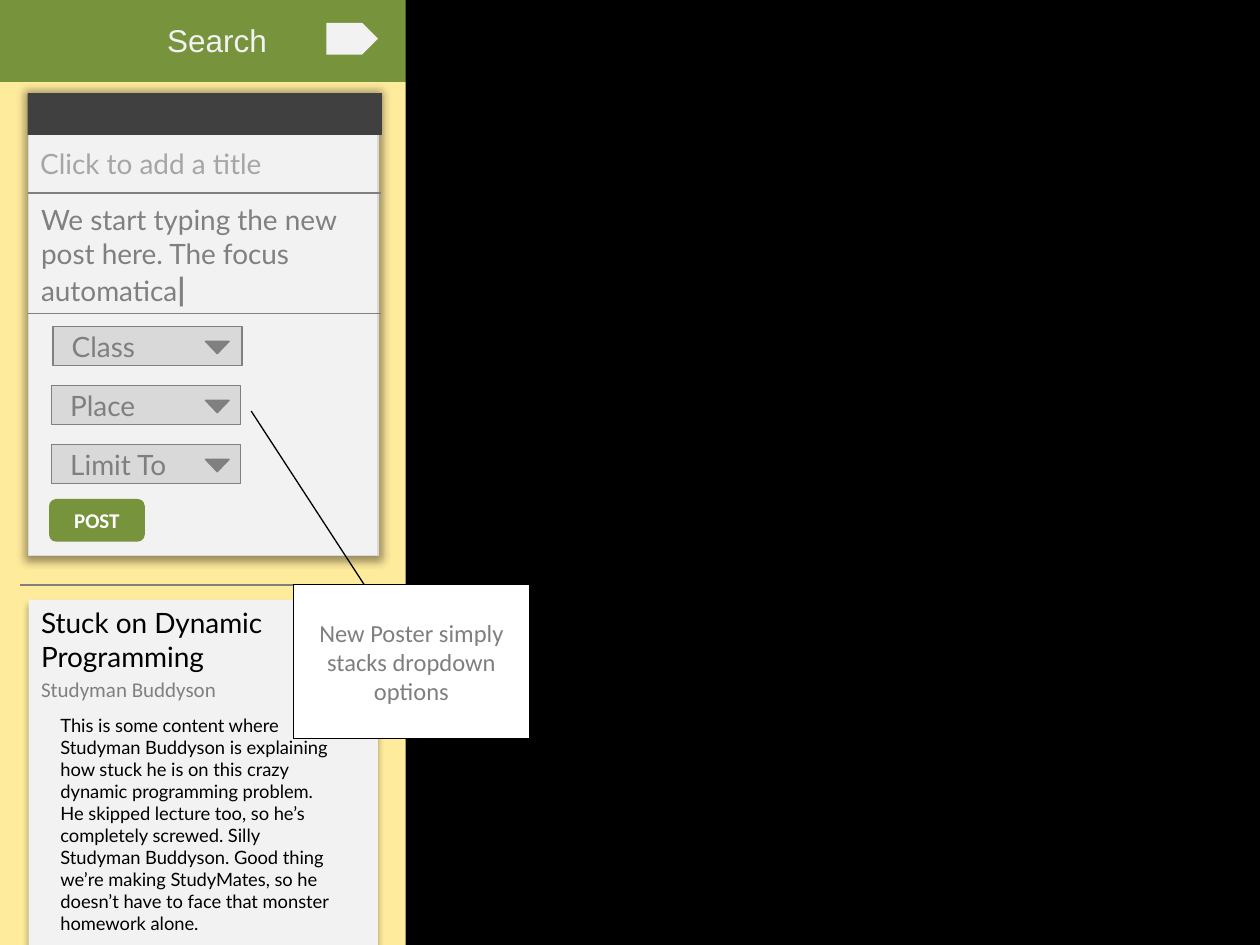
from lxml import etree
from pptx import Presentation
from pptx.dml.color import RGBColor
from pptx.enum import shapes, text
from pptx.oxml import ns
from pptx.util import Cm, Pt

GREEN = RGBColor(0x77, 0x93, 0x3C)
CREAM = RGBColor(0xFF, 0xEB, 0x9C)
PAPER = RGBColor(0xF2, 0xF2, 0xF2)
SILVER = RGBColor(0xD9, 0xD9, 0xD9)
PALE_GRAY = RGBColor(0xA6, 0xA6, 0xA6)
GRAY = RGBColor(0x80, 0x80, 0x80)
LABEL_GRAY = RGBColor(0x7F, 0x7F, 0x7F)
CHARCOAL = RGBColor(0x40, 0x40, 0x40)
BLACK = RGBColor(0, 0, 0)
WHITE = RGBColor(0xFF, 0xFF, 0xFF)

SHAPE = shapes.MSO_SHAPE
COLUMN_LEFT, COLUMN_WIDTH = 0.58, 7.04
DROPDOWN_TOP, DROPDOWN_STEP = 6.58, 1.19

POST_BODY = (
    "This is some content where Studyman Buddyson is explaining how stuck he is "
    "on this crazy dynamic programming problem. He skipped lecture too, so he’s "
    "completely screwed. Silly Studyman Buddyson. Good thing we’re making "
    "StudyMates, so he doesn’t have to face that monster homework alone."
)


def add_run(paragraph, words, font, size, color, bold=False):
    run = paragraph.add_run()
    run.text = words
    run.font.name = font
    run.font.size = Pt(size)
    run.font.color.rgb = color
    run.font.bold = bold


def add_text(slide, box, runs, wrap=True):
    frame = slide.shapes.add_textbox(*map(Cm, box)).text_frame
    frame.word_wrap = wrap
    for run in runs:
        add_run(frame.paragraphs[0], *run)


def add_block(slide, kind, box, fill, line=None, runs=(), align=text.PP_ALIGN.CENTER):
    block = slide.shapes.add_shape(kind, *map(Cm, box))
    block.shadow.inherit = False
    block.fill.solid()
    block.fill.fore_color.rgb = fill
    if line is None:
        block.line.fill.background()
    else:
        block.line.color.rgb = line
        block.line.width = Pt(0.75)
    if runs:
        frame = block.text_frame
        frame.word_wrap = True
        frame.vertical_anchor = text.MSO_ANCHOR.MIDDLE
        frame.paragraphs[0].alignment = align
        for run in runs:
            add_run(frame.paragraphs[0], *run)
    return block


def cast_shadow(block, blur, distance, opacity, spread=100):
    """Give a block a soft black shadow; opacity and spread are in percent."""
    effects = block._element.spPr.find(ns.qn("a:effectLst"))
    shadow = etree.SubElement(
        effects, ns.qn("a:outerShdw"), blurRad=str(Pt(blur)), dist=str(Pt(distance)),
        dir="5400000", sx=str(spread * 1000), sy=str(spread * 1000),
        algn="ctr", rotWithShape="0")
    color = etree.SubElement(shadow, ns.qn("a:srgbClr"), val=str(BLACK))
    etree.SubElement(color, ns.qn("a:alpha"), val=str(opacity * 1000))


def add_rule(slide, left, right, y):
    rule = slide.shapes.add_connector(
        shapes.MSO_CONNECTOR.STRAIGHT, Cm(left), Cm(y), Cm(right), Cm(y))
    rule.line.color.rgb = GRAY
    rule.line.width = Pt(0.75)
    etree.SubElement(rule._element.spPr, ns.qn("a:effectLst"))


def add_dropdown(slide, label, left, top):
    add_block(slide, SHAPE.RECTANGLE, (left, top, 3.81, 0.79), SILVER, GRAY,
              [(" ", "Calibri", 16, LABEL_GRAY), (label, "Lato", 16, LABEL_GRAY)],
              text.PP_ALIGN.LEFT)
    arrow = add_block(slide, SHAPE.ISOSCELES_TRIANGLE, (4.14, top + 0.3, 0.48, 0.25),
                      GRAY, LABEL_GRAY)
    arrow.rotation = 180


def add_header(slide):
    add_block(slide, SHAPE.RECTANGLE, (0, 0, 25.4, 1.65), GREEN)
    add_text(slide, (3.12, 0.3, 4.22, 1.02), [("Search", "Arial", 18, PAPER)])
    add_block(slide, SHAPE.PENTAGON, (6.58, 0.46, 1.04, 0.64), PAPER)


def add_feed(slide):
    add_rule(slide, 0.41, 7.44, 11.79)
    card = add_block(slide, SHAPE.RECTANGLE, (COLUMN_LEFT, 12.09, COLUMN_WIDTH, 10.01), PAPER)
    cast_shadow(card, 4, 3, 40)
    add_text(slide, (COLUMN_LEFT, 12.09, COLUMN_WIDTH, 1.63),
             [("Stuck on Dynamic Programming", "Lato", 16, BLACK)])
    add_text(slide, (COLUMN_LEFT, 13.51, 4.09, 0.76),
             [("Studyman Buddyson", "Calibri", 12, GRAY)], wrap=False)
    add_text(slide, (0.97, 14.27, 6.12, 4.75), [(POST_BODY, "Lato", 10.5, BLACK)])


def add_new_post(slide):
    dialog = add_block(slide, SHAPE.RECTANGLE, (COLUMN_LEFT, 1.93, COLUMN_WIDTH, 9.27),
                       PAPER, SILVER)
    cast_shadow(dialog, 5, 0, 40, spread=102)
    add_block(slide, SHAPE.RECTANGLE, (0.56, 1.88, 7.14, 0.84), CHARCOAL)
    add_text(slide, (COLUMN_LEFT, 3.96, COLUMN_WIDTH, 2.39),
             [("We start typing the new post here. The focus automatica", "Lato", 16, GRAY),
              ("|", "Lato", 18, GRAY, True)])
    for y in (3.89, 6.32):
        add_rule(slide, 0.56, 7.68, y)
    add_text(slide, (0.56, 2.82, 7.06, 0.94),
             [("Click to add a title", "Lato", 16, PALE_GRAY)])
    for row, (label, left) in enumerate([("Class", 1.07), ("Place", 1.04), ("Limit To", 1.04)]):
        add_dropdown(slide, label, left, DROPDOWN_TOP + row * DROPDOWN_STEP)
    add_block(slide, SHAPE.ROUNDED_RECTANGLE, (0.99, 10.06, 1.93, 0.86), GREEN,
              runs=[("POST", "Calibri", 12, WHITE, True)])


def add_callout(slide):
    callout = add_block(
        slide, SHAPE.LINE_CALLOUT_1, (5.92, 11.79, 4.75, 3.1), WHITE, BLACK,
        [("New Poster simply stacks dropdown options", "Calibri", 14, LABEL_GRAY)])
    for index, value in enumerate((0, 0.3, -1.13, -0.18)):
        callout.adjustments[index] = value


def main():
    deck = Presentation()
    deck.slide_width, deck.slide_height = Cm(25.4), Cm(19.05)
    slide = deck.slides.add_slide(deck.slide_layouts[6])
    slide.background.fill.solid()
    slide.background.fill.fore_color.rgb = CREAM
    add_header(slide)
    add_feed(slide)
    add_block(slide, SHAPE.RECTANGLE, (8.18, -0.79, 17.35, 20.7), BLACK)
    add_new_post(slide)
    add_callout(slide)
    deck.save("out.pptx")


if __name__ == "__main__":
    main()
